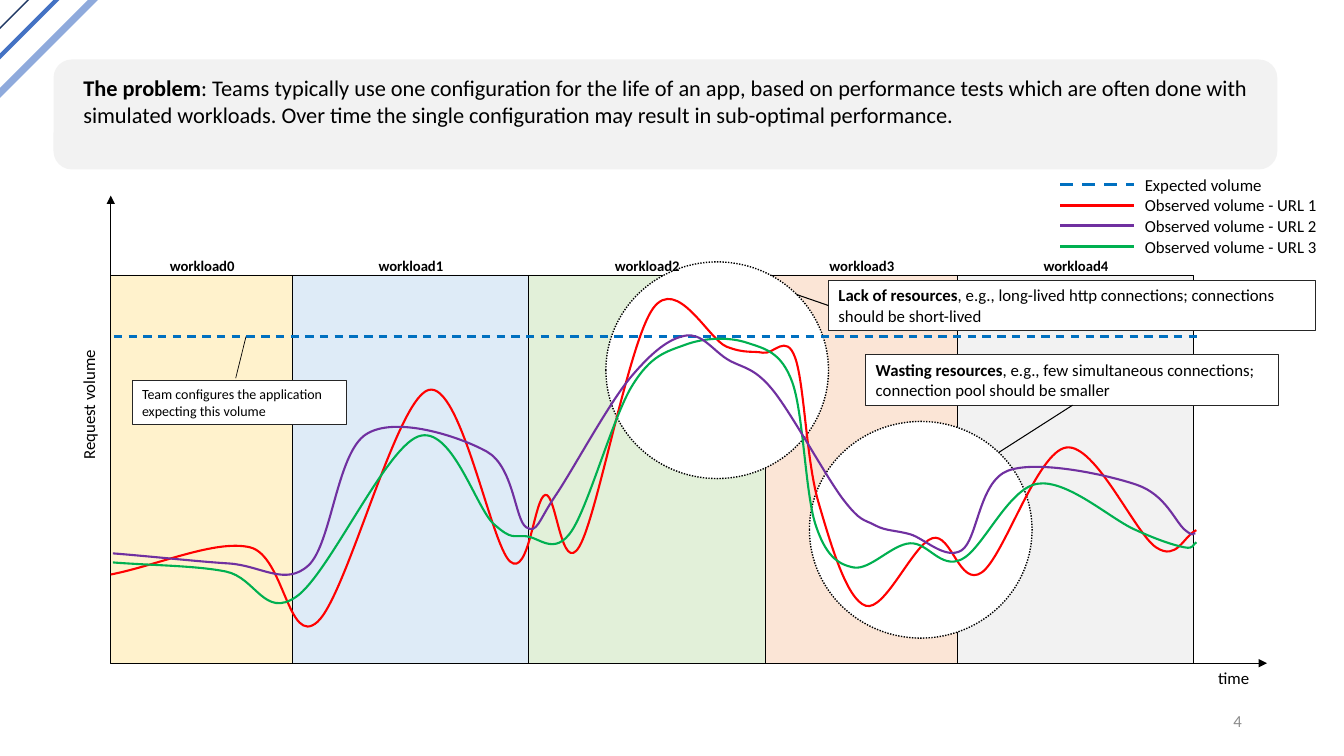
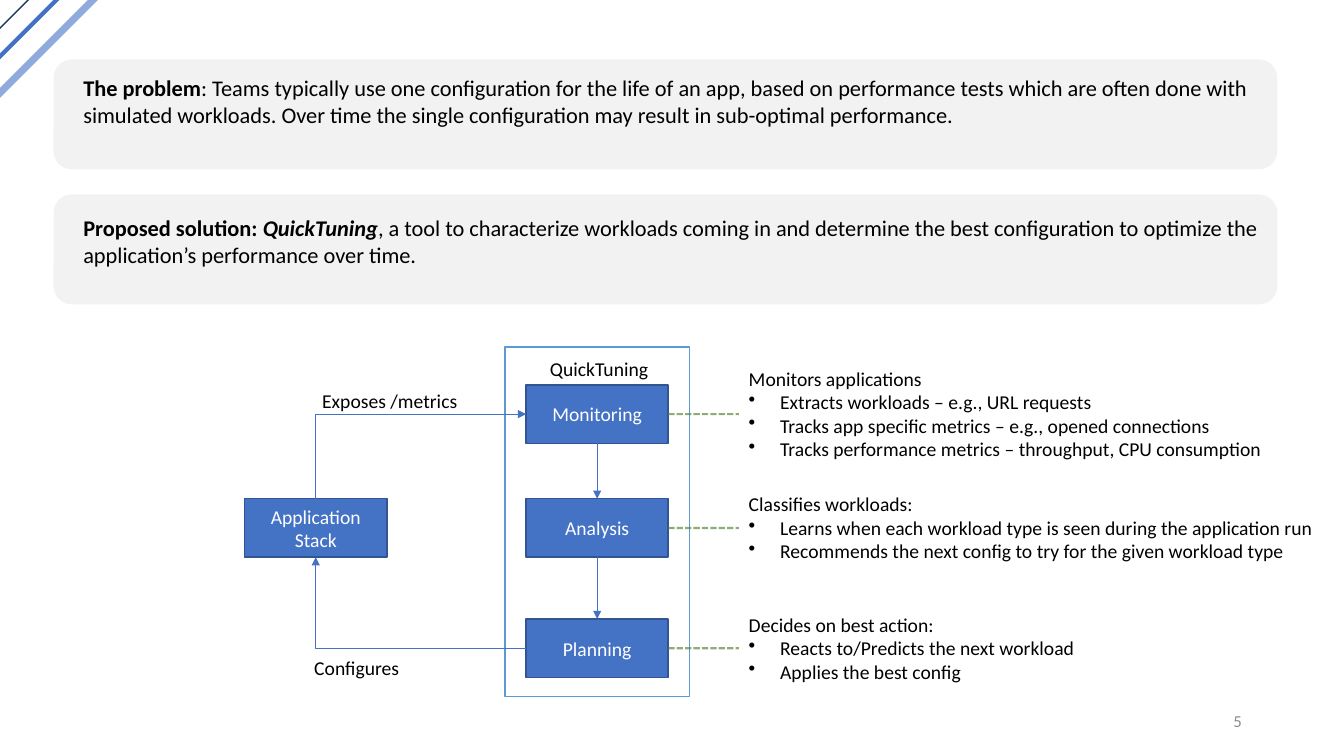
import lxml.etree
import pptx
import pptx.dml.color
import pptx.enum.dml
import pptx.enum.shapes
import pptx.enum.text
import pptx.oxml.ns
import pptx.util

Cm, Pt = pptx.util.Cm, pptx.util.Pt
qn = pptx.oxml.ns.qn
SHAPE = pptx.enum.shapes.MSO_SHAPE
CONNECTOR = pptx.enum.shapes.MSO_CONNECTOR
DASH = pptx.enum.dml.MSO_LINE
ALIGN = pptx.enum.text.PP_ALIGN

FONT = "Calibri"
BLACK, WHITE, PALE_GRAY = "000000", "FFFFFF", "F2F2F2"
BLUE, DARK_BLUE, FRAME_BLUE = "4472C4", "325491", "5B9BD5"
RED, PURPLE, GREEN, EXPECTED_BLUE = "FF0000", "7030A0", "00B050", "0070C0"
CALLOUT_LINE, NOTE_GREEN, NUMBER_GRAY = "262626", "548235", "8C8C8C"
# Left end, its height, span of the diagonal, colour and width
CORNER_LINES = [
    (-0.64, 1.35, 1.95, "203864", 1),
    (-0.41, 1.83, 2.06, BLUE, 3),
    (-0.28, 2.62, 2.91, "8FAADC", 5),
]

PROBLEM = [[
    ("The problem", "b"),
    (": Teams typically use one configuration for the life of an app, based on performance "
     "tests which are often done with simulated workloads. Over time the single configuration "
     "may result in sub-optimal performance.", ""),
]]
SOLUTION = [[
    ("Proposed solution: ", "b"),
    ("QuickTuning", "bi"),
    (", a tool to characterize workloads coming in and determine the best configuration to "
     "optimize the application’s performance over time.", ""),
]]

# Right edge and fill of each workload band
AXIS_LEFT, AXIS_BOTTOM, BAND_TOP = 2.79, 16.71, 6.93
BANDS = [(7.37, "FFF2CC"), (13.31, "DEEBF7"), (19.28, "E2F0D9"), (24.13, "FBE5D6"),
         (30.07, PALE_GRAY)]

# Points that each smooth curve passes through, in hundredths of an inch
CURVE_UNIT = Cm(0.0254)
CURVES = {
    RED: [(110, 570), (248, 543), (315, 617), (425, 387), (506, 557), (541, 491), (575, 542),
          (648, 306), (721, 344), (757, 350), (789, 355), (812, 498), (859, 601), (925, 534),
          (974, 568), (1058, 444), (1147, 543), (1187, 526)],
    GREEN: [(112, 558), (224, 567), (294, 592), (415, 433), (490, 520), (522, 532), (567, 527),
            (627, 383), (680, 342), (741, 340), (786, 379), (809, 520), (847, 563), (903, 539),
            (954, 555), (1029, 480), (1125, 525), (1175, 543), (1187, 538)],
    PURPLE: [(112, 549), (227, 559), (306, 561), (363, 431), (483, 448), (522, 523), (551, 492),
             (626, 374), (680, 333), (721, 356), (766, 386), (837, 496), (868, 521), (903, 530),
             (954, 546), (1000, 467), (1128, 481), (1176, 526), (1186, 529)],
}
LEGEND = [
    ("Expected volume", EXPECTED_BLUE, DASH.DASH),
    ("Observed volume - URL 1", RED, None),
    ("Observed volume - URL 2", PURPLE, None),
    ("Observed volume - URL 3", GREEN, None),
]

# Name, top of the box, note
STAGES = [
    ("Monitoring", 9.7, [
        "Monitors applications",
        "Extracts workloads – e.g., URL requests",
        "Tracks app specific metrics – e.g., opened connections",
        "Tracks performance metrics – throughput, CPU consumption"]),
    ("Analysis", 12.57, [
        "Classifies workloads:",
        "Learns when each workload type is seen during the application run",
        "Recommends the next config to try for the given workload type"]),
    ("Planning", 15.6, [
        "Decides on best action:",
        "Reacts to/Predicts the next workload",
        "Applies the best config"]),
]
BOX_WIDTH, BOX_HEIGHT = 3.58, 1.47
STAGE_LEFT, NOTE_LEFT = 13.26, 18.62


def rgb(color):
    return pptx.dml.color.RGBColor.from_string(color)


def style_line(line, color, width, dash=None):
    line.color.rgb = rgb(color)
    line.width = Pt(width)
    if dash:
        line.dash_style = dash


def add_bullet(paragraph):
    properties = paragraph._p.get_or_add_pPr()
    properties.set("marL", str(Cm(0.79)))
    properties.set("indent", str(-Cm(0.79)))
    lxml.etree.SubElement(properties, qn("a:buChar"), char="•")


def write_text(frame, content, size=12, color=BLACK, bold=False, align=ALIGN.LEFT,
               bullets=False):
    """Write paragraphs, each a string or a list of (text, "b"/"i" flags) runs."""
    paragraphs = [content] if isinstance(content, str) else content
    for index, runs in enumerate(paragraphs):
        paragraph = frame.add_paragraph() if index else frame.paragraphs[0]
        paragraph.alignment = align
        if bullets and index:
            add_bullet(paragraph)
        if isinstance(runs, str):
            runs = [(runs, "b" if bold else "")]
        for text, flags in runs:
            run = paragraph.add_run()
            run.text = text
            run.font.name = FONT
            run.font.size = Pt(size)
            run.font.bold = "b" in flags
            run.font.italic = "i" in flags
            run.font.color.rgb = rgb(color)


def add_label(slide, left, top, width, height, content, wrap=False, **text_format):
    label = slide.shapes.add_textbox(Cm(left), Cm(top), Cm(width), Cm(height))
    label.text_frame.word_wrap = wrap
    label.text_frame.auto_size = pptx.enum.text.MSO_AUTO_SIZE.SHAPE_TO_FIT_TEXT
    write_text(label.text_frame, content, **text_format)
    return label


def add_box(slide, kind, left, top, width, height, fill=None, line=None, content=None,
            **text_format):
    """Add a preset shape; line is (color, width[, dash])."""
    shape = slide.shapes.add_shape(kind, Cm(left), Cm(top), Cm(width), Cm(height))
    shape.shadow.inherit = False
    if fill:
        shape.fill.solid()
        shape.fill.fore_color.rgb = rgb(fill)
    else:
        shape.fill.background()
    if line:
        style_line(shape.line, *line)
    else:
        shape.line.fill.background()
    if content:
        shape.text_frame.word_wrap = True
        shape.text_frame.vertical_anchor = pptx.enum.text.MSO_ANCHOR.MIDDLE
        write_text(shape.text_frame, content, **text_format)
    return shape


def add_line(slide, start, end, color=BLACK, width=0.75, dash=None, arrow=None, alpha=None,
             kind=CONNECTOR.STRAIGHT):
    """Add a connector; arrow is "headEnd" (at start) or "tailEnd" (at end)."""
    connector = slide.shapes.add_connector(kind, *(Cm(value) for value in (*start, *end)))
    style_line(connector.line, color, width, dash)
    outline = connector.line._get_or_add_ln()
    if alpha:
        fill_color = outline.find(".//" + qn("a:srgbClr"))
        lxml.etree.SubElement(fill_color, qn("a:alpha"), val=str(alpha * 1000))
    if arrow:
        lxml.etree.SubElement(outline, qn("a:" + arrow), type="triangle")
    properties = connector._element.spPr
    lxml.etree.SubElement(properties, qn("a:effectLst"))
    if kind == CONNECTOR.ELBOW:
        properties.find(qn("a:prstGeom")).set("prst", "bentConnector2")
    return connector


def connect(slide, source, source_site, target, target_site, **line_format):
    """Glue a connector to two shapes; sites are 0 top, 1 left, 2 bottom, 3 right."""
    connector = add_line(slide, (0, 0), (1, 1), BLUE, 0.5, **line_format)
    connector.begin_connect(source, source_site)
    connector.end_connect(target, target_site)


def smooth(points):
    """Return two controls and an end for each segment of a Catmull-Rom curve."""
    def mirror(end, neighbour):
        return tuple(2 * a - b for a, b in zip(end, neighbour))

    padded = [mirror(points[0], points[1]), *points, mirror(points[-1], points[-2])]
    vertices = []
    for before, start, end, after in zip(padded, padded[1:], padded[2:], padded[3:]):
        vertices += [
            tuple(s + (e - b) / 6 for b, s, e in zip(before, start, end)),
            tuple(e - (a - s) / 6 for s, e, a in zip(start, end, after)),
            end,
        ]
    return vertices


def add_curve(slide, color, points):
    builder = slide.shapes.build_freeform(*points[0], scale=CURVE_UNIT)
    builder.add_line_segments(smooth(points), close=False)
    curve = builder.convert_to_shape()
    curve.shadow.inherit = False
    curve.fill.background()
    style_line(curve.line, color, 1.5)
    segments = list(curve._element.iter(qn("a:lnTo")))
    for first in range(0, len(segments), 3):
        bezier = lxml.etree.Element(qn("a:cubicBezTo"))
        segments[first].addprevious(bezier)
        for segment in segments[first:first + 3]:
            bezier.append(segment[0])
            segment.getparent().remove(segment)


def add_statement(slide, top, text_top, content):
    add_box(slide, SHAPE.ROUNDED_RECTANGLE, 1.35, top, 30.84, 2.77, PALE_GRAY)
    add_label(slide, 1.85, text_top, 30.35, 1.63, content, wrap=True, size=16)


def start_slide(presentation, number):
    """Add a slide with the corner lines, its number and the problem statement."""
    slide = presentation.slides.add_slide(presentation.slide_layouts[6])
    for left, bottom, span, color, width in CORNER_LINES:
        add_line(slide, (left, bottom), (left + span, bottom - span), color, width)
    add_label(slide, 23.93, 17.78, 7.62, 0.76, str(number), wrap=True,
              color=NUMBER_GRAY, align=ALIGN.RIGHT)
    add_statement(slide, 1.5, 1.75, PROBLEM)
    return slide


def add_workload_bands(slide):
    lefts = [AXIS_LEFT] + [right for right, _ in BANDS]
    for left, (right, fill) in zip(lefts, BANDS):
        add_box(slide, SHAPE.RECTANGLE, left, BAND_TOP, right - left, AXIS_BOTTOM - BAND_TOP,
                fill, (BLACK, 0.25))
    for left, top in ((20.4, 10.62), (15.27, 6.6)):
        add_box(slide, SHAPE.OVAL, left, top, 5.61, 5.46, WHITE, (BLACK, 1, DASH.ROUND_DOT))
    for index, (left, (right, _)) in enumerate(zip(lefts, BANDS)):
        add_label(slide, (left + right) / 2 - 1.05, BAND_TOP - 0.58, 2.21, 0.74,
                  f"workload{index}", size=10.5, bold=True)


def add_axes(slide):
    for end in ((31.93, AXIS_BOTTOM), (AXIS_LEFT, 4.93)):
        add_line(slide, (AXIS_LEFT, AXIS_BOTTOM), end, width=0.5, arrow="tailEnd")
    add_label(slide, 30.45, AXIS_BOTTOM, 1.32, 0.76, "time")
    add_label(slide, 0.58, 9.8, 3.3, 0.76, "Request volume").rotation = 270


def add_callout(slide, left, top, width, height, content, pointer, size=12, pointer_width=0.75):
    add_box(slide, SHAPE.RECTANGLE, left, top, width, height, WHITE, (CALLOUT_LINE, 0.75),
            content, size=size)
    add_line(slide, *pointer, width=pointer_width)


def add_legend(slide):
    for index, (text, color, dash) in enumerate(LEGEND):
        y = 4.65 + 0.52 * index
        add_line(slide, (26.72, y), (28.58, y), color, 2.25, dash)
        add_label(slide, 28.6, y - 0.38, 4.9, 0.76, text)


def build_problem_slide(presentation):
    slide = start_slide(presentation, 4)
    add_workload_bands(slide)
    add_axes(slide)
    add_line(slide, (2.87, 8.48), (30.18, 8.48), EXPECTED_BLUE, 1.5, DASH.DASH)
    for color, points in CURVES.items():
        add_curve(slide, color, points)
    add_callout(slide, 21.82, 8.94, 10.41, 1.27, [[
        ("Wasting resources", "b"),
        (", e.g., few simultaneous connections; connection pool should be smaller", "")]],
        ((25.17, 11.4), (27.03, 10.21)))
    add_callout(slide, 20.88, 7.06, 12.27, 1.27, [[
        ("Lack of resources", "b"),
        (", e.g., long-lived http connections; connections should be short-lived", "")]],
        ((20.07, 7.42), (20.88, 7.7)))
    add_callout(slide, 3.33, 9.58, 5.41, 1.12,
                "Team configures the application expecting this volume",
                ((5.94, 9.53), (6.2, 8.48)), size=10, pointer_width=0.5)
    add_legend(slide)


def add_process_box(slide, left, top, content):
    return add_box(slide, SHAPE.RECTANGLE, left, top, BOX_WIDTH, BOX_HEIGHT, BLUE,
                   (DARK_BLUE, 1), content, size=14, color=WHITE, align=ALIGN.CENTER)


def build_solution_slide(presentation):
    slide = start_slide(presentation, 5)
    add_statement(slide, 4.9, 5.28, SOLUTION)
    add_box(slide, SHAPE.RECTANGLE, 12.73, 8.74, 4.65, 8.81, line=(FRAME_BLUE, 1))
    application = add_process_box(slide, 6.17, 12.57, ["Application", "Stack"])
    stages = []
    for name, top, note in STAGES:
        stages.append(add_process_box(slide, STAGE_LEFT, top, name))
        middle = top + BOX_HEIGHT / 2
        add_line(slide, (STAGE_LEFT + BOX_WIDTH, middle), (NOTE_LEFT, middle), NOTE_GREEN,
                 1.5, DASH.SQUARE_DOT, alpha=66)
        note_height = 0.25 + 0.6 * len(note)
        add_label(slide, NOTE_LEFT, middle - note_height / 2, 15.01, note_height, note,
                  wrap=True, size=14, bullets=True)
    for upper, lower in zip(stages, stages[1:]):
        connect(slide, upper, 2, lower, 0, arrow="tailEnd")
    connect(slide, stages[0], 1, application, 0, arrow="headEnd", kind=CONNECTOR.ELBOW)
    connect(slide, stages[-1], 1, application, 2, arrow="tailEnd", kind=CONNECTOR.ELBOW)
    for text, left, top, width in (("Exposes /metrics", 7.87, 9.68, 3.96),
                                   ("Configures", 7.67, 16.41, 2.69),
                                   ("QuickTuning", 13.61, 8.86, 3.07)):
        add_label(slide, left, top, width, 0.86, text, size=14)


def main():
    presentation = pptx.Presentation()
    presentation.slide_width, presentation.slide_height = Cm(33.87), Cm(19.05)
    build_problem_slide(presentation)
    build_solution_slide(presentation)
    presentation.save("out.pptx")


if __name__ == "__main__":
    main()
